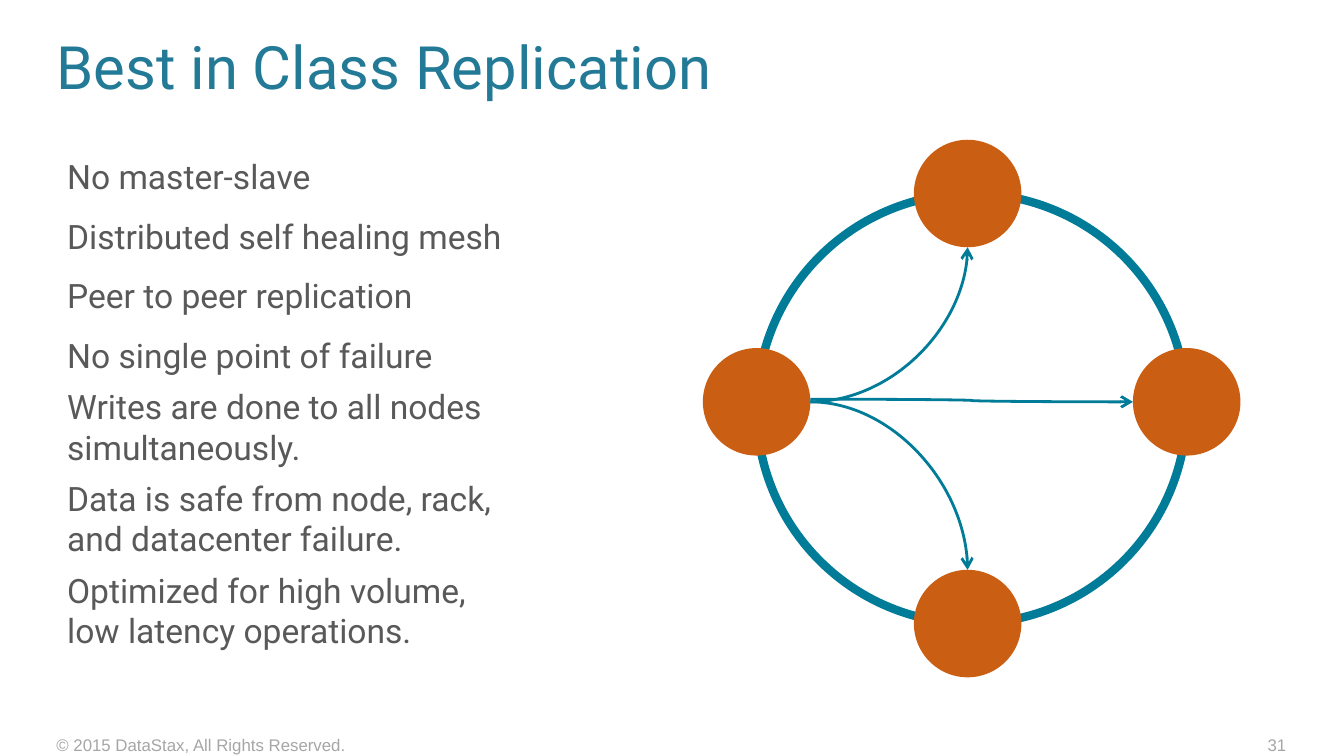
from pptx import Presentation
from pptx.dml.color import RGBColor
from pptx.enum.shapes import MSO_CONNECTOR, MSO_SHAPE
from pptx.enum.text import PP_ALIGN
from pptx.oxml.ns import qn
from pptx.util import Inches, Pt
from lxml.etree import SubElement

HUES = {"title": "237A97", "body": "595959", "foot": "A6A6A6",
        "ring": "007B98", "node": "CA5F14"}


class Deck:
    """Holds the style and the current slide."""

    def __init__(self):
        self.prs = Presentation()
        self.prs.slide_width = Inches(10)
        self.prs.slide_height = Inches(10 * 9 / 16)
        self.slide = self.prs.slides.add_slide(self.prs.slide_layouts[6])

    def hue(self, name):
        return RGBColor.from_string(HUES[name])

    def text(self, box, paras, size, hue, font="Roboto", align=PP_ALIGN.LEFT, inset=0.1):
        frame = self.slide.shapes.add_textbox(*map(Inches, box)).text_frame
        frame.word_wrap = True
        frame.margin_left = frame.margin_top = frame.margin_bottom = 0
        frame.margin_right = Inches(inset)
        for i, (lines, space) in enumerate(paras):
            para = frame.add_paragraph() if i else frame.paragraphs[0]
            para.alignment = align
            para.line_spacing = space
            para.space_before = Pt(6 if i else 0)
            for j, line in enumerate(lines.split("\n")):
                if j:
                    para.add_line_break()
                run = para.add_run()
                run.text = line
                run.font.name = font
                run.font.size = Pt(size)
                run.font.color.rgb = self.hue(hue)

    def disc(self, x, y, radius, fill=None, line=None):
        box = (x - radius, y - radius, 2 * radius, 2 * radius)
        shape = self.slide.shapes.add_shape(MSO_SHAPE.OVAL, *map(Inches, box))
        shape.shadow.inherit = False
        if fill:
            shape.fill.solid()
            shape.fill.fore_color.rgb = self.hue(fill)
        else:
            shape.fill.background()
        if line:
            shape.line.color.rgb = self.hue(line)
            shape.line.width = Pt(4.5)
        else:
            shape.line.fill.background()

    def curve(self, start, end, kind):
        link = self.slide.shapes.add_connector(
            MSO_CONNECTOR.CURVE, *map(Inches, start + end))
        link.line.color.rgb = self.hue("ring")
        link.line.width = Pt(1.5)
        props = link._element.spPr
        props.find(qn("a:prstGeom")).set("prst", kind)
        SubElement(props.find(qn("a:ln")), qn("a:tailEnd"), type="arrow")
        SubElement(props, qn("a:effectLst"))


def main():
    deck = Deck()
    deck.text((0.42, 0.22, 8.25, 0.57), [("Best in Class Replication", 1)], 32, "title")
    deck.text((0.5, 1.1, 4.66, 4.14), [
        ("No master-slave", 1.2),
        ("Distributed self healing mesh", 1.2),
        ("Peer to peer replication", 1.2),
        ("No single point of failure", 1.2),
        ("Writes are done to all nodes simultaneously.", 1),
        ("Data is safe from node, rack,\nand datacenter failure.", 1),
        ("Optimized for high volume,\nlow latency operations.", 1),
    ], 18, "body")
    deck.text((0.42, 5.47, 3.83, 0.3),
              [("© 2015 DataStax, All Rights Reserved.", 1)], 9, "foot", "Arial")
    deck.text((7.4, 5.47, 2.17, 0.3), [("31", 1)], 9, "foot", "Arial",
              PP_ALIGN.RIGHT, 0)

    size = 0.4
    west, east, north, south = (5.63, 2.99), (8.83, 2.99), (7.2, 1.44), (7.2, 4.64)
    deck.disc(7.23, 3.04, 1.6, line="ring")
    for x, y in (west, east, north, south):
        deck.disc(x, y, size, fill="node")

    start = (west[0] + size, west[1])
    deck.curve(start, (south[0], south[1] - size), "curvedConnector2")
    deck.curve(start, (north[0], north[1] + size), "curvedConnector2")
    deck.curve((start[0], 2.97), (east[0] - size, east[1]), "curvedConnector3")
    deck.prs.save("out.pptx")


if __name__ == "__main__":
    main()
